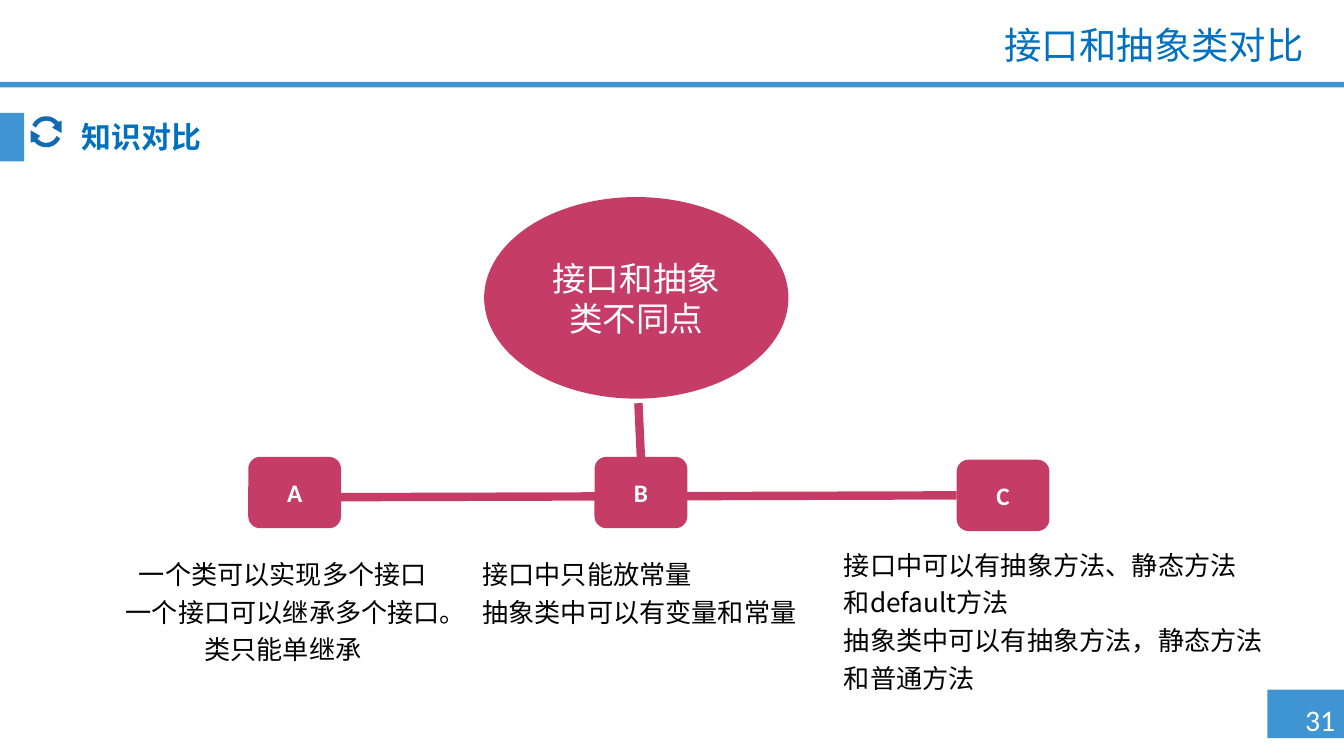
from dataclasses import dataclass
from math import cos, radians, sin

from lxml import etree
from pptx import Presentation
from pptx import util as u
from pptx.dml import color
from pptx.enum import lang, shapes, text
from pptx.oxml import ns

BLUE, INK, ROSE, WHITE = "3F95D2", "0070C0", "C53C66", "FFFFFF"
LEFT, MID, RIGHT = text.PP_ALIGN.LEFT, text.PP_ALIGN.CENTER, text.PP_ALIGN.RIGHT
SANS = "Noto Sans CJK SC"
KIND = shapes.MSO_SHAPE
TOP, CENTRE = text.MSO_ANCHOR.TOP, text.MSO_ANCHOR.MIDDLE


@dataclass
class Box:
    x: float
    y: float
    w: float
    h: float

    def pts(self) -> list:
        return [u.Pt(v) for v in (self.x, self.y, self.w, self.h)]


@dataclass
class Style:
    font: dict
    hue: str
    para: dict
    frame: dict


@dataclass
class Label:
    box: Box
    lines: list
    style: Style


def style(name: str, size: float, hue: str, align=LEFT, space: float = 1.0,
          bold: bool = False, anchor=TOP, wrap: bool = True) -> Style:
    return Style(
        {"name": name, "size": u.Pt(size), "bold": bold,
         "language_id": lang.MSO_LANGUAGE_ID.SIMPLIFIED_CHINESE},
        hue,
        {"alignment": align, "line_spacing": space},
        {"word_wrap": wrap, "vertical_anchor": anchor},
    )


def apply(item, values: dict) -> None:
    for key, value in values.items():
        setattr(item, key, value)


def paint(form, hue: str) -> None:
    form.fill.solid()
    form.fill.fore_color.rgb = color.RGBColor.from_string(hue)


def write(frame, lines: list, look: Style) -> None:
    apply(frame, look.frame)
    for i, line in enumerate(lines):
        para = frame.add_paragraph() if i else frame.paragraphs[0]
        apply(para, look.para)
        run = para.add_run()
        run.text = line
        apply(run.font, look.font)
        paint(run.font, look.hue)


def finish(shape, hue: str):
    shape.shadow.inherit = False
    paint(shape, hue)
    shape.line.fill.background()
    return shape


def block(slide, kind, box: Box, hue: str):
    return finish(slide.shapes.add_shape(kind, *box.pts()), hue)


def label(slide, item: Label) -> None:
    area = slide.shapes.add_textbox(*item.box.pts())
    write(area.text_frame, item.lines, item.style)


def link(slide, x: float, y: float, to_x: float, to_y: float):
    line = slide.shapes.add_connector(
        shapes.MSO_CONNECTOR.STRAIGHT, *[u.Pt(v) for v in (x, y, to_x, to_y)])
    paint(line.line, ROSE)
    line.line.width = u.Pt(4.5)
    etree.SubElement(line._element.spPr, ns.qn("a:effectLst"))
    return line


def arc(size: float, start: int, stop: int, step: int) -> list:
    return [(size * cos(radians(a)), size * sin(radians(a)))
            for a in range(start, stop, step)]


def cycle(slide, x: float, y: float, hue: str) -> None:
    arrow = (arc(8.3, 206, 321, 6) + [(8.3, -5.8), (8.3, 0.7), (3.2, -2.2)]
             + arc(5.9, 322, 200, -6))
    upper, lower = ([(100 * (x + s * dx), 100 * (y + s * dy)) for dx, dy in arrow]
                    for s in (1, -1))
    form = slide.shapes.build_freeform(*upper[0], scale=u.Pt(1) / 100)
    form.add_line_segments(upper[1:])
    form.move_to(*lower[0])
    form.add_line_segments(lower[1:])
    finish(form.convert_to_shape(), hue)


BODY = style(SANS, 14, "000000", space=1.2)
NODE = style("Calibri", 13.5, WHITE, MID, bold=True, anchor=CENTRE)
HUB = style("Calibri", 18, WHITE, MID, anchor=CENTRE)

BARS = [Box(679, 369.5, 41, 26), Box(0, 43.9, 720, 2.9), Box(0, 60.5, 13, 26)]
HEADS = [
    Label(Box(688.5, 372.2, 37.4, 26.6), ["31"],
          style("Calibri", 16, WHITE, MID, wrap=False)),
    Label(Box(172.8, 10.8, 532.8, 28.8), ["接口和抽象类对比"],
          style("Arial", 20, INK, RIGHT, 0.9, anchor=CENTRE)),
    Label(Box(36.7, 60.5, 589.7, 28), ["知识对比"],
          style(SANS, 16, INK, space=0.9, bold=True, anchor=CENTRE)),
]
NODES = {"A": (133, 244.8), "B": (318.5, 244.8), "C": (512.5, 246.3)}
NOTES = [
    Label(Box(251.3, 292.3, 183.6, 64), ["接口中只能放常量", "抽象类中可以有变量和常量"], BODY),
    Label(Box(445, 287.3, 260.6, 64),
          ["接口中可以有抽象方法、静态方法", "和default方法",
           "抽象类中可以有抽象方法，静态方法", "和普通方法"], BODY),
    Label(Box(59.8, 292.3, 183.6, 64),
          ["一个类可以实现多个接口", "一个接口可以继承多个接口。", "类只能单继承"],
          style(SANS, 14, "000000", MID, 1.2)),
]


def main() -> None:
    deck = Presentation()
    apply(deck, {"slide_width": u.Pt(720), "slide_height": u.Pt(405)})
    slide = deck.slides.add_slide(deck.slide_layouts[6])

    for bar in BARS:
        block(slide, KIND.RECTANGLE, bar, BLUE)
    for head in HEADS:
        label(slide, head)
    cycle(slide, 24.8, 70.6, "136AB3")

    hub = block(slide, KIND.OVAL, Box(259.4, 105.6, 163, 108), ROSE)
    write(hub.text_frame, ["接口和抽象类不同点"], HUB)

    rail = link(slide, 173.5, 266.4, 512.5, 265)
    made = {}
    for name, (x, y) in NODES.items():
        made[name] = block(slide, KIND.ROUNDED_RECTANGLE, Box(x, y, 49.7, 38.2), ROSE)
        write(made[name].text_frame, [name], NODE)
    rail.end_connect(made["C"], 1)
    stem = link(slide, 342, 244.8, 342, 216)
    stem.begin_connect(made["B"], 0)

    for note in NOTES:
        label(slide, note)
    deck.save("out.pptx")


if __name__ == "__main__":
    main()
